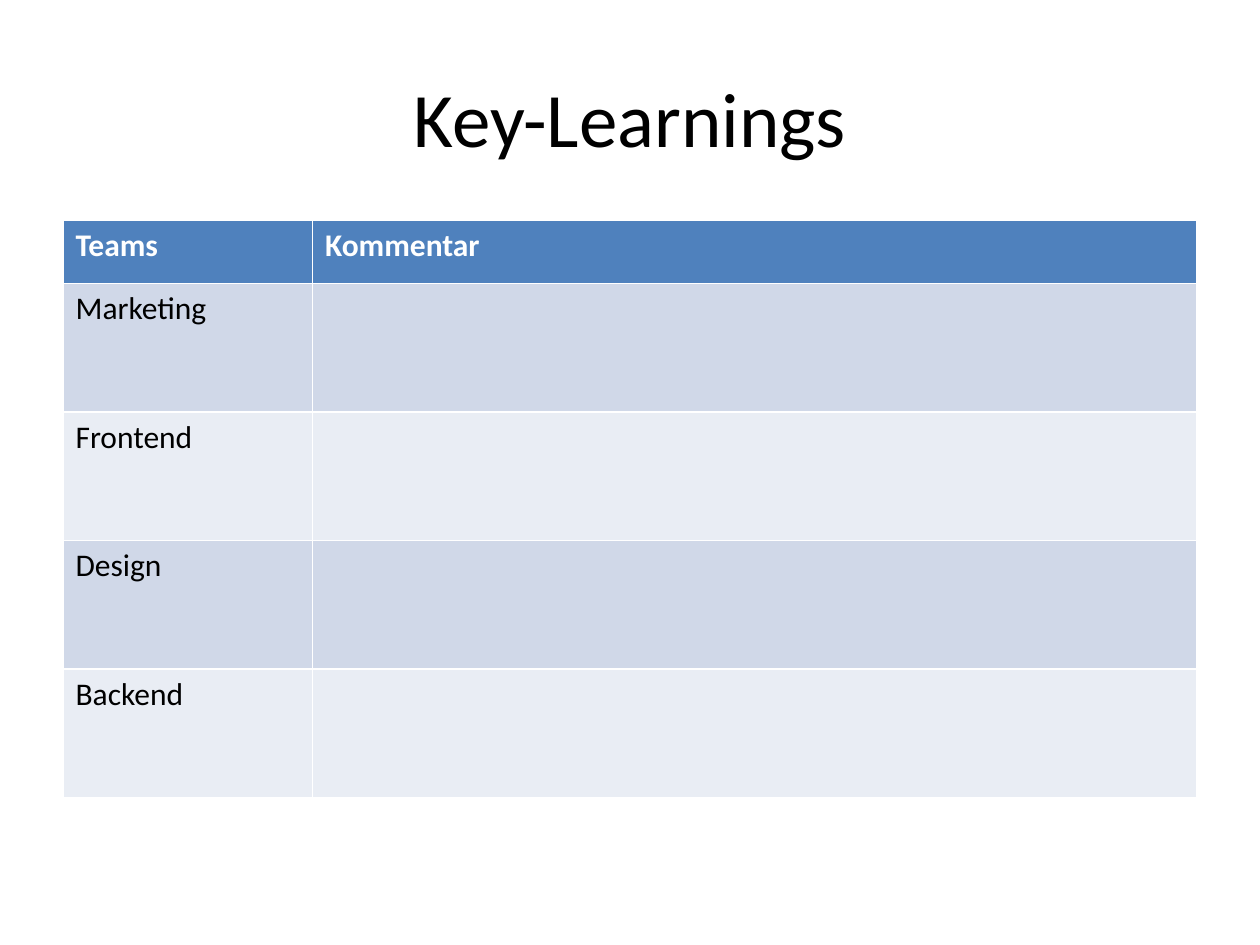
from pptx import Presentation
from pptx import util as u
from pptx.dml import color
from pptx.enum import text

W, H = u.Inches(10), u.Inches(7.5)
MARGIN = 0.05
COLS = [0.22, 0.78]
HEAD, ROW = u.Inches(0.5), u.Inches(1.02)
ROWS = [("Teams", "Kommentar"), ("Marketing", ""), ("Frontend", ""), ("Design", ""), ("Backend", "")]
BANDS = ["E9EDF4", "D0D8E8"]


def rgb(value):
    return color.RGBColor.from_string(value)


def write(tf, content, size=18, fill="000000", bold=False, align=text.PP_ALIGN.LEFT):
    p = tf.paragraphs[0]
    p.alignment = align
    p.font.size = u.Pt(size)
    if content:
        r = p.add_run()
        r.text = content
        r.font.name = "Calibri"
        r.font.size = u.Pt(size)
        r.font.bold = bold
        r.font.color.rgb = rgb(fill)


prs = Presentation()
prs.slide_width, prs.slide_height = W, H
s = prs.slides.add_slide(prs.slide_layouts[6])
left, width = int(W * MARGIN), int(W * (1 - 2 * MARGIN))

tf = s.shapes.add_textbox(left, int(H * 0.04), width, u.Inches(1.25)).text_frame
tf.word_wrap = True
tf.vertical_anchor = text.MSO_ANCHOR.MIDDLE
write(tf, "Key-Learnings", size=44, align=text.PP_ALIGN.CENTER)

height = HEAD + ROW * (len(ROWS) - 1)
table = s.shapes.add_table(len(ROWS), len(COLS), left, u.Inches(1.75), width, height).table
for column, share in zip(table.columns, COLS):
    column.width = int(width * share)

for i, row in enumerate(ROWS):
    head = i == 0
    table.rows[i].height = HEAD if head else ROW
    for j, content in enumerate(row):
        cell = table.cell(i, j)
        cell.fill.solid()
        cell.fill.fore_color.rgb = rgb("4F81BD" if head else BANDS[i % 2])
        write(cell.text_frame, content, fill="FFFFFF" if head else "000000", bold=head)

prs.save("out.pptx")
